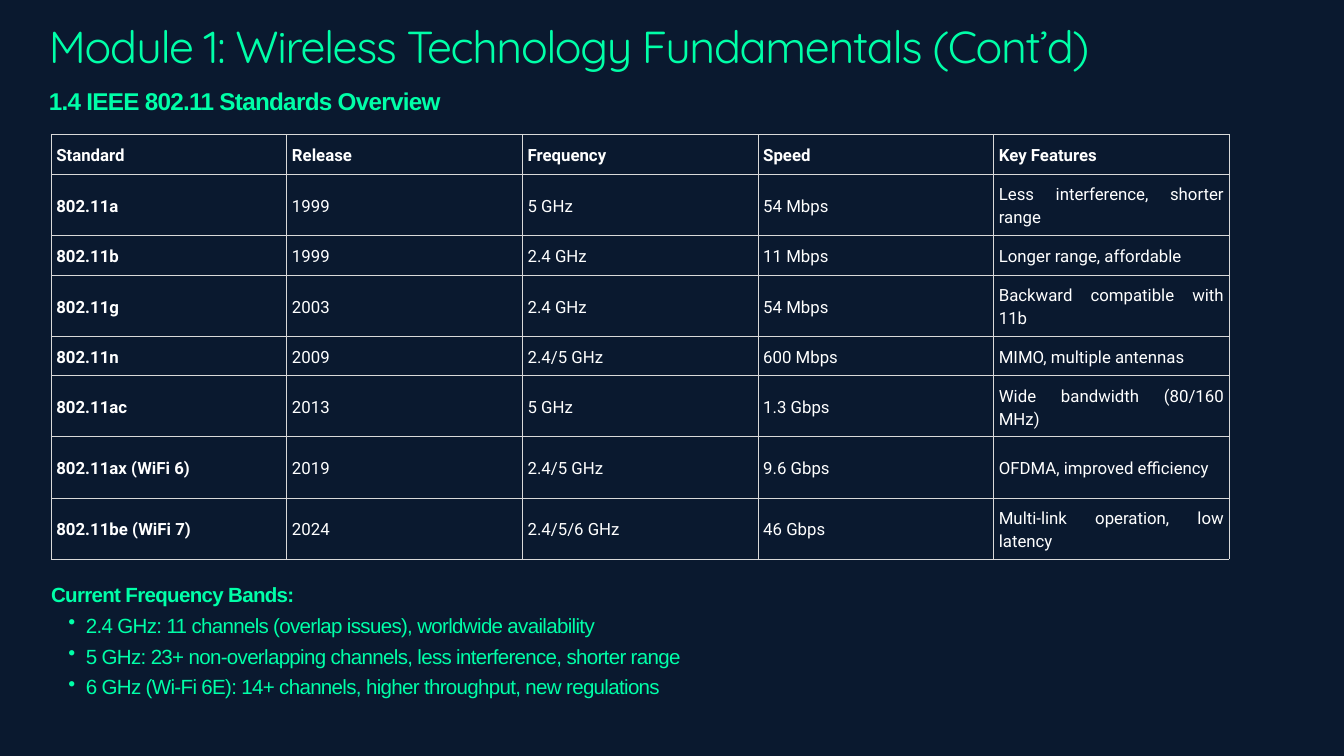
from dataclasses import dataclass

from lxml import etree
from pptx import Presentation
from pptx.dml.color import RGBColor as Rgb
from pptx.enum import text as t
from pptx.oxml import ns
from pptx.util import Cm, Pt

TITLE = "Module 1: Wireless Technology Fundamentals (Cont’d)"
TOPIC = "1.4 IEEE 802.11 Standards Overview"
HEAD = ("Standard", "Release", "Frequency", "Speed", "Key Features")
ROWS = [
    ("802.11a", "1999", "5 GHz", "54 Mbps", "Less interference, shorter range"),
    ("802.11b", "1999", "2.4 GHz", "11 Mbps", "Longer range, affordable"),
    ("802.11g", "2003", "2.4 GHz", "54 Mbps", "Backward compatible with 11b"),
    ("802.11n", "2009", "2.4/5 GHz", "600 Mbps", "MIMO, multiple antennas"),
    ("802.11ac", "2013", "5 GHz", "1.3 Gbps", "Wide bandwidth (80/160 MHz)"),
    ("802.11ax (WiFi 6)", "2019", "2.4/5 GHz", "9.6 Gbps", "OFDMA, improved efficiency"),
    ("802.11be (WiFi 7)", "2024", "2.4/5/6 GHz", "46 Gbps", "Multi-link operation, low latency"),
]
BANDS = [
    "2.4 GHz: 11 channels (overlap issues), worldwide availability",
    "5 GHz: 23+ non-overlapping channels, less interference, shorter range",
    "6 GHz (Wi-Fi 6E): 14+ channels, higher throughput, new regulations",
]
WRAP = 25


@dataclass(frozen=True)
class Theme:
    back: str = "0A192F"
    mint: str = "00FFA8"
    white: str = "FFFFFF"
    rule: str = "D9D9D9"
    title: int = 48
    topic: int = 26
    band: int = 22
    cell: int = 18


look = Theme()


def write(para, words, font="Arial", size=look.band, color=look.mint, bold=False,
          lead=33, track=0, just=False, bullet=False):
    props = para._p.get_or_add_pPr()
    if bullet:
        para.level = 1
        props.set("marL", str(Cm(1.32)))
        props.set("indent", str(Cm(-0.66)))
        etree.SubElement(props, ns.qn("a:buChar"), char="•")
    para.alignment = t.PP_ALIGN.JUSTIFY if just else t.PP_ALIGN.LEFT
    para.line_spacing = Pt(lead)
    run = para.add_run()
    run.text = words
    face = run.font
    face.name, face.size, face.bold = font, Pt(size), bold
    face.color.rgb = Rgb.from_string(color)
    if track:
        run._r.get_or_add_rPr().set("spc", str(round(track * 100)))


def frame(slide, left, top, width, height):
    body = slide.shapes.add_textbox(Cm(left), Cm(top), Cm(width), Cm(height)).text_frame
    body.margin_left = body.margin_right = body.margin_top = body.margin_bottom = 0
    body.word_wrap = True
    body.auto_size = t.MSO_AUTO_SIZE.SHAPE_TO_FIT_TEXT
    return body


def border(cell):
    props = cell._tc.get_or_add_tcPr()
    for spot, side in enumerate(("lnL", "lnR", "lnT", "lnB")):
        line = etree.Element(ns.qn(f"a:{side}"), w=str(Pt(0.75)))
        fill = etree.SubElement(line, ns.qn("a:solidFill"))
        etree.SubElement(fill, ns.qn("a:srgbClr"), val=look.rule)
        props.insert(spot, line)


def grid(slide, left, top, width):
    rows = [HEAD, *ROWS]
    tall = [row is not HEAD and len(row[-1]) > WRAP for row in rows]
    highs = [Cm(2.31 if big else 1.5) for big in tall]
    table = slide.shapes.add_table(len(rows), len(HEAD), Cm(left), Cm(top),
                                   Cm(width), sum(highs)).table
    table.first_row = table.horz_banding = False
    for col in table.columns:
        col.width = Cm(width / len(HEAD))
    for r, row in enumerate(rows):
        table.rows[r].height = highs[r]
        for c, words in enumerate(row):
            cell = table.cell(r, c)
            cell.fill.background()
            cell.vertical_anchor = t.MSO_ANCHOR.MIDDLE
            cell.margin_left = cell.margin_right = Cm(0.2)
            cell.margin_top = cell.margin_bottom = Cm(0.2)
            border(cell)
            write(cell.text_frame.paragraphs[0], words, font="Roboto", size=look.cell,
                  color=look.white, bold=r == 0 or c == 0, lead=25.2, just=True)


def main():
    deck = Presentation()
    deck.slide_width, deck.slide_height = Cm(50.8), Cm(28.58)
    slide = deck.slides.add_slide(deck.slide_layouts[6])
    slide.background.fill.solid()
    slide.background.fill.fore_color.rgb = Rgb.from_string(look.back)

    write(frame(slide, 1.85, 1.04, 47.52, 2.06).paragraphs[0], TITLE,
          font="Quicksand", size=look.title, lead=48, track=-1.4, just=True)
    write(frame(slide, 1.85, 3, 23.06, 1.27).paragraphs[0], TOPIC,
          size=look.topic, bold=True, lead=39, track=-0.8)
    grid(slide, 1.93, 5.08, 44.53)

    notes = frame(slide, 1.93, 21.77, 44.6, 4.6)
    write(notes.paragraphs[0], "Current Frequency Bands:", bold=True, track=-0.7)
    for band in BANDS:
        write(notes.add_paragraph(), band, track=-0.7, bullet=True)
    deck.save("out.pptx")


if __name__ == "__main__":
    main()
